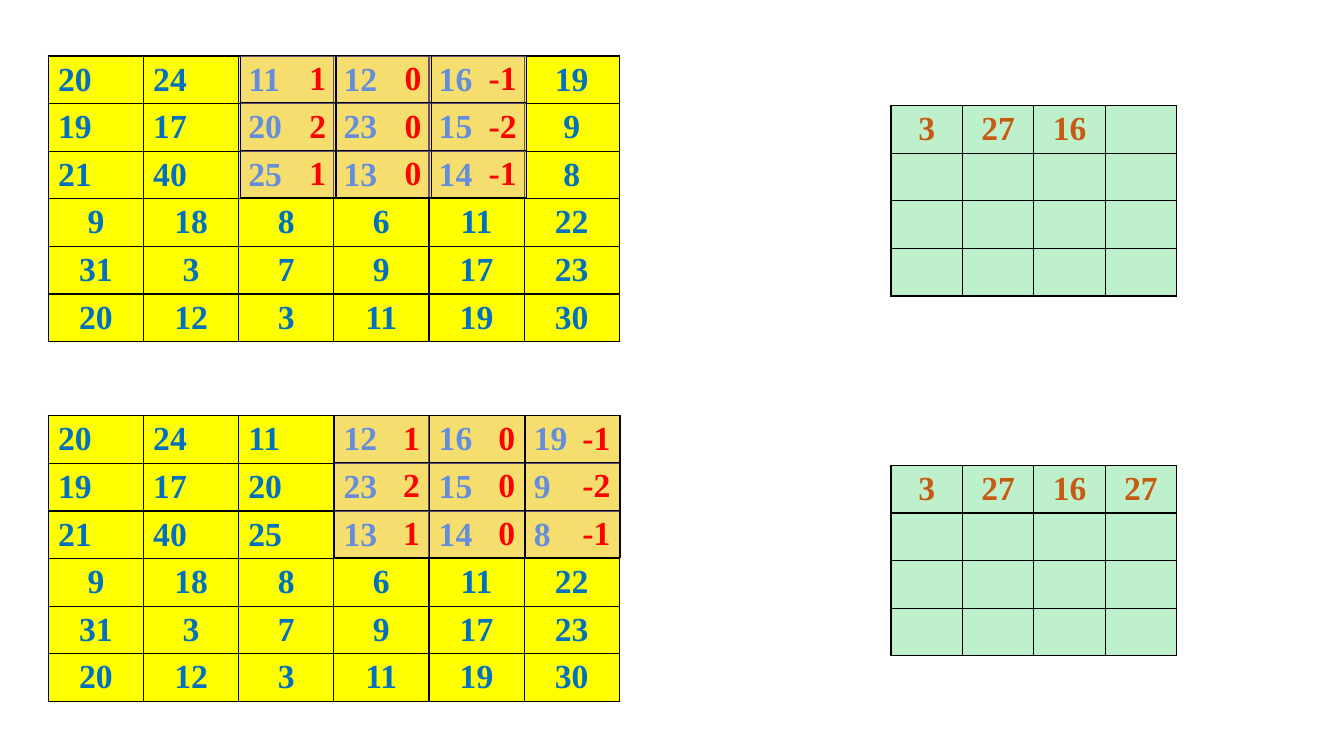
"""Build a slide of two convolution steps: image grid, sliding kernel and output grid."""
from lxml import etree
from pptx import Presentation
from pptx.dml.color import RGBColor
from pptx.enum.text import MSO_ANCHOR, PP_ALIGN
from pptx.oxml.ns import qn
from pptx.util import Pt

LEFT, CENTER, RIGHT = PP_ALIGN.LEFT, PP_ALIGN.CENTER, PP_ALIGN.RIGHT
MIDDLE = MSO_ANCHOR.MIDDLE
EMU_PER_PX = 6350
ROW_HEIGHT = 68
COLORS = {
    "line": "000000",
    "image_fill": "FFFF00", "image_text": "0070C0",
    "kernel_fill": "E8B4FF", "kernel_text": "FF0000",
    "output_fill": "6BDE8A", "output_text": "C55A11",
}
IMAGE = [
    [20, 24, 11, 12, 16, 19],
    [19, 17, 20, 23, 15, 9],
    [21, 40, 25, 13, 14, 8],
    [9, 18, 8, 6, 11, 22],
    [31, 3, 7, 9, 17, 23],
    [20, 12, 3, 11, 19, 30],
]
KERNEL = [[1, 0, -1], [2, 0, -2], [1, 0, -1]]
OUTPUT_SIZE = 4
STEP_OFFSET = 514
STEPS = [
    {"kernel_left": 344, "left_columns": 5, "results": [3, 27, 16]},
    {"kernel_left": 478, "left_columns": 6, "results": [3, 27, 16, 27]},
]


def px(length):
    """Turn whole pixels into EMU."""
    return length * EMU_PER_PX


class GridSlide:
    """Hold the text style and the current slide, and draw number grids on it."""

    def __init__(self, page):
        """Keep the slide and the shared formats."""
        self.page = page
        self.font = {"name": "Times New Roman", "size": Pt(24), "bold": True}
        self.cell = {"vertical_anchor": MIDDLE, "margin_left": px(14), "margin_right": px(14),
                     "margin_top": px(4), "margin_bottom": px(4)}
        self.table = {"first_row": False, "horz_banding": False}

    def apply(self, target, formats):
        """Set each format value on the target."""
        for name, value in formats.items():
            setattr(target, name, value)

    def add_borders(self, cell):
        """Draw a thin line on all four sides of a cell."""
        properties = cell._tc.get_or_add_tcPr()
        for index, side in enumerate(("lnL", "lnR", "lnT", "lnB")):
            line = etree.Element(qn(f"a:{side}"), w=str(Pt(1)))
            fill = etree.SubElement(line, qn("a:solidFill"))
            etree.SubElement(fill, qn("a:srgbClr"), val=COLORS["line"])
            properties.insert(index, line)

    def fill_cell(self, cell, color, alpha):
        """Fill a cell, with an opacity in percent."""
        cell.fill.solid()
        cell.fill.fore_color.rgb = RGBColor.from_string(color)
        if alpha < 100:
            shade = cell._tc.get_or_add_tcPr().find(f".//{qn('a:srgbClr')}")
            etree.SubElement(shade, qn("a:alpha"), val=str(alpha * 1000))

    def add_number(self, cell, value, color, align):
        """Put one value in a cell."""
        para = cell.text_frame.paragraphs[0]
        para.alignment = align
        span = para.add_run()
        span.text = str(value)
        self.apply(span.font, self.font)
        span.font.color.rgb = RGBColor.from_string(color)

    def add_grid(self, kind, left, top, column_width, values, align_at, alpha=100):
        """Add a table of numbers; None leaves a cell blank."""
        rows, columns = len(values), len(values[0])
        table = self.page.shapes.add_table(
            rows, columns, px(left), px(top),
            px(columns * column_width), px(rows * ROW_HEIGHT)).table
        self.apply(table, self.table)
        for row, numbers in enumerate(values):
            for column, value in enumerate(numbers):
                cell = table.cell(row, column)
                self.apply(cell, self.cell)
                self.fill_cell(cell, COLORS[f"{kind}_fill"], alpha)
                self.add_borders(cell)
                if value is not None:
                    self.add_number(cell, value, COLORS[f"{kind}_text"], align_at(row, column))

    def add_step(self, top, kernel_left, left_columns, results):
        """Add the image, the kernel over it and the output so far."""
        def image_align(row, column):
            """Align left in the rows that the kernel passes over."""
            return LEFT if row < len(KERNEL) and column < left_columns else CENTER

        blanks = OUTPUT_SIZE ** 2 - len(results)
        numbers = results + [None] * blanks
        output = [numbers[start:start + OUTPUT_SIZE]
                  for start in range(0, OUTPUT_SIZE ** 2, OUTPUT_SIZE)]
        self.add_grid("image", 69, top + 80, 136, IMAGE, image_align)
        self.add_grid("kernel", kernel_left, top + 79, 136, KERNEL,
                      lambda row, column: RIGHT, alpha=43)
        self.add_grid("output", 1273, top + 151, 102, output,
                      lambda row, column: CENTER, alpha=43)


def main():
    """Build and save the deck."""
    deck = Presentation()
    deck.slide_width, deck.slide_height = px(1920), px(1080)
    slide = GridSlide(deck.slides.add_slide(deck.slide_layouts[6]))
    for index, step in enumerate(STEPS):
        slide.add_step(index * STEP_OFFSET, **step)
    deck.save("out.pptx")


if __name__ == "__main__":
    main()
